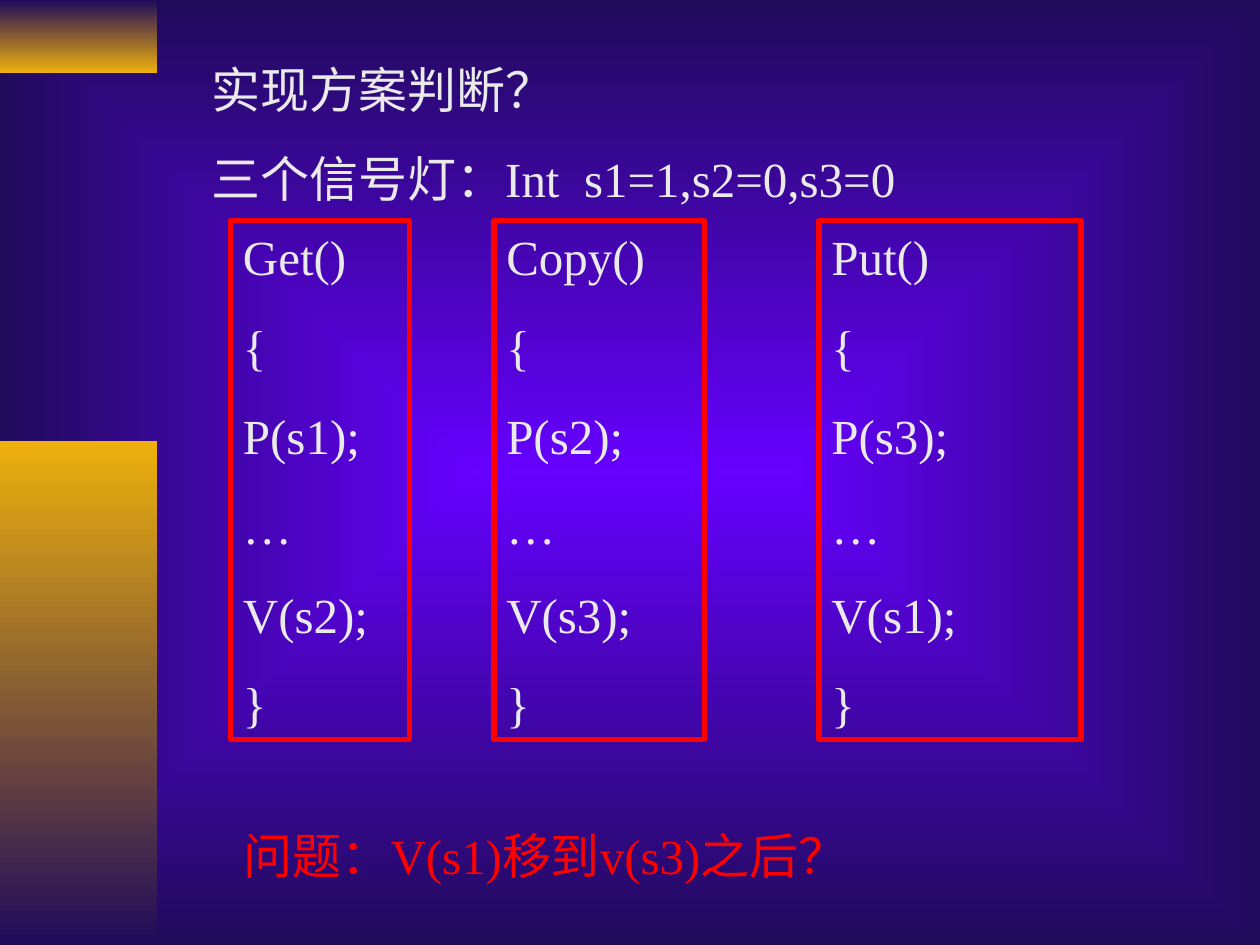
"""Build the slide on three semaphores for get, copy and put."""
import lxml.etree
import pptx
import pptx.dml.color
import pptx.enum.shapes
import pptx.enum.text
import pptx.oxml.ns
import pptx.util

Inches = pptx.util.Inches
Align = pptx.enum.text.PP_ALIGN

NAVY, VIOLET, GOLD = "200B5B", "6600FF", "EEB00B"
PALE, RED = "EAEAEA", "FF0000"


def color(value):
    """Return the colour for a hex string."""
    return pptx.dml.color.RGBColor.from_string(value)


def write(shape, lines, ink=PALE, align=Align.LEFT, wrap=True):
    """Write one paragraph per line into a shape."""
    frame = shape.text_frame
    frame.word_wrap = wrap
    frame.auto_size = pptx.enum.text.MSO_AUTO_SIZE.SHAPE_TO_FIT_TEXT
    frame.vertical_anchor = pptx.enum.text.MSO_ANCHOR.TOP
    frame.text = "\n".join(lines)
    for paragraph in frame.paragraphs:
        paragraph.alignment = align
        paragraph.space_before = pptx.util.Pt(17.5)
        for run in paragraph.runs:
            run.font.size = pptx.util.Pt(28)
            run.font.name = "Times New Roman"
            run.font.color.rgb = color(ink)


def blend(fill, start, end):
    """Give a fill a gradient between two colours."""
    fill.gradient()
    for stop, value in zip(fill.gradient_stops, (start, end)):
        stop.color.rgb = color(value)


def paint_background(slide):
    """Fill the background with a gradient growing from the centre."""
    qn = pptx.oxml.ns.qn
    blend(slide.background.fill, VIOLET, NAVY)
    gradient = slide.element.find(".//" + qn("a:gradFill"))
    gradient.remove(gradient.find(qn("a:lin")))
    rings = lxml.etree.SubElement(gradient, qn("a:path"), {"path": "rect"})
    centre = dict.fromkeys("ltrb", "50000")
    lxml.etree.SubElement(rings, qn("a:fillToRect"), centre)


def add_rectangle(slide, left, top, width, height):
    """Add a rectangle without a shadow."""
    rectangle = slide.shapes.add_shape(
        pptx.enum.shapes.MSO_SHAPE.RECTANGLE, left, top, width, height)
    rectangle.shadow.inherit = False
    return rectangle


def add_side_bars(slide, left, top, width, height):
    """Add the gold bars at the top and bottom of the side strip."""
    upper, lower = Inches(0.58), Inches(4)
    bars = ((top, upper, NAVY, GOLD),
            (top + height - lower, lower, GOLD, NAVY))
    for bar_top, bar_height, start, end in bars:
        bar = add_rectangle(slide, left, bar_top, width, bar_height)
        blend(bar.fill, start, end)
        bar.fill.gradient_angle = 270
        bar.line.fill.background()


def add_heading(slide, left, top, width, height):
    """Place the heading and the semaphore declaration."""
    heading = slide.shapes.title
    heading.left, heading.top = left, top
    heading.width, heading.height = width, height
    write(heading, ["实现方案判断？", "三个信号灯：Int  s1=1,s2=0,s3=0"])


def add_procedures(slide, left, top, height):
    """Add the framed procedures, each waiting on one semaphore."""
    procedures = (("Get", "s1", "s2", 0, 1.42),
                  ("Copy", "s2", "s3", 2.09, 1.67),
                  ("Put", "s3", "s1", 4.67, 2.08))
    for name, waits, signals, offset, width in procedures:
        frame = add_rectangle(
            slide, left + Inches(offset), top, Inches(width), height)
        frame.fill.background()
        frame.line.color.rgb = color(RED)
        frame.line.width = pptx.util.Pt(3)
        write(frame, [f"{name}()", "{", f"P({waits});", "…",
                      f"V({signals});", "}"])


def add_question(slide, left, top, width, height):
    """Add the closing question."""
    question = slide.shapes.add_textbox(left, top, width, height)
    write(question, ["问题：V(s1)移到v(s3)之后？"], ink=RED,
          align=Align.CENTER, wrap=False)


def main():
    """Build and save the presentation."""
    deck = pptx.Presentation()
    deck.slide_width, deck.slide_height = Inches(10), Inches(7.5)
    slide = deck.slides.add_slide(deck.slide_layouts.get_by_name("Title Only"))
    paint_background(slide)
    add_side_bars(slide, 0, 0, Inches(1.25), deck.slide_height)
    add_heading(slide, Inches(1.58), Inches(0.42), Inches(6.83), Inches(1.28))
    add_procedures(slide, Inches(1.83), Inches(1.75), Inches(4.12))
    add_question(slide, Inches(1.65), Inches(6.5), Inches(5.36), Inches(0.57))
    deck.save("out.pptx")


if __name__ == "__main__":
    main()
